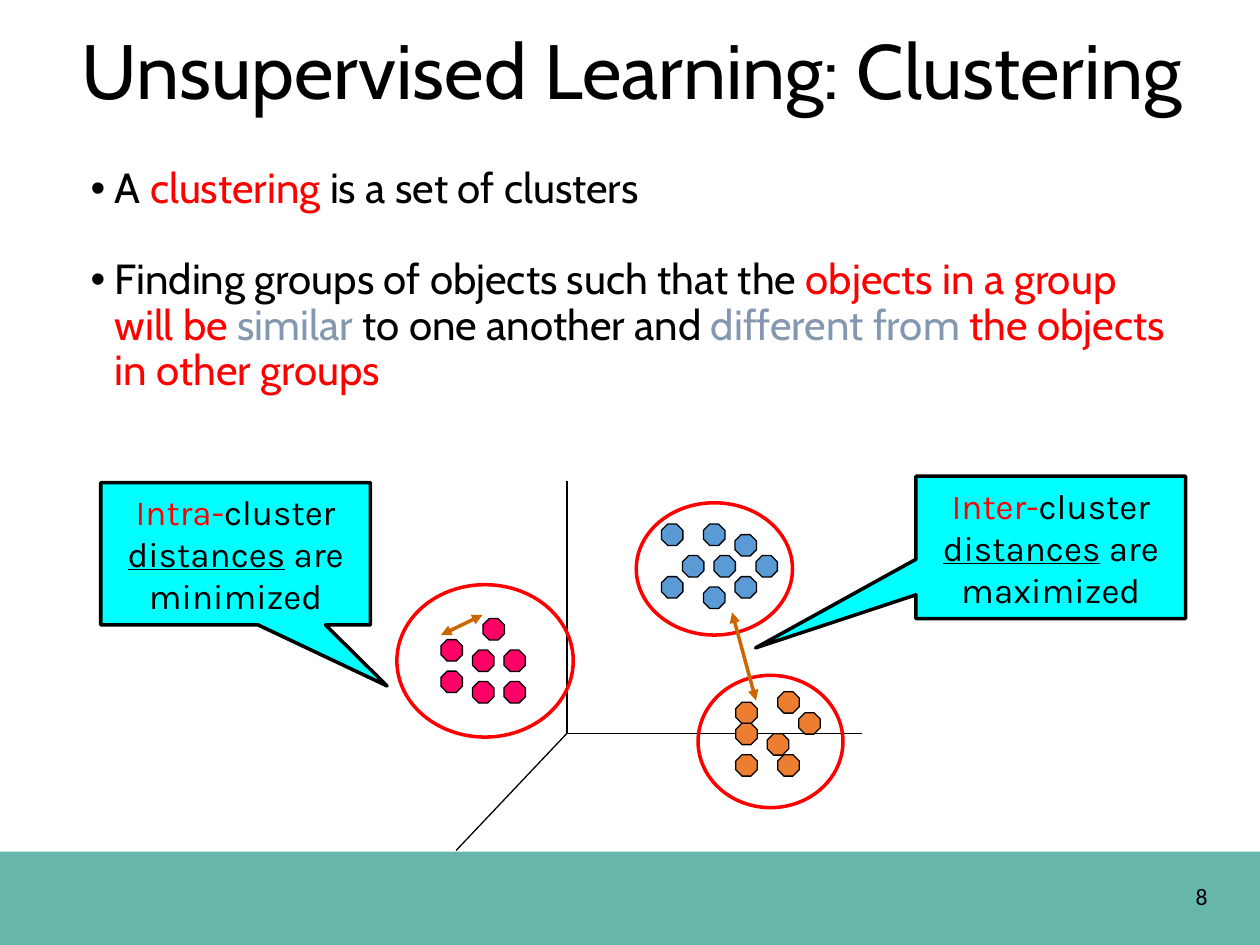
from lxml import etree
from pptx import Presentation
from pptx.dml.color import RGBColor
from pptx.enum.shapes import MSO_CONNECTOR, MSO_SHAPE
from pptx.enum.text import MSO_ANCHOR, PP_ALIGN
from pptx.oxml.ns import qn
from pptx.util import Inches, Pt

RECT, OVAL = MSO_SHAPE.RECTANGLE, MSO_SHAPE.OVAL
OCTAGON, CALLOUT = MSO_SHAPE.OCTAGON, MSO_SHAPE.RECTANGULAR_CALLOUT
STRAIGHT = MSO_CONNECTOR.STRAIGHT
TOP, MIDDLE = MSO_ANCHOR.TOP, MSO_ANCHOR.MIDDLE
CENTER = PP_ALIGN.CENTER

COLORS = {
    "black": "000000", "red": "FF0000", "slate": "8497B0", "teal": "319F8D",
    "cyan": "00FFFF", "arrow": "CC6600",
    "blue": "5B9BD5", "pink": "FF0066", "orange": "ED7D31",
}
DOT = 0.17
STEP = 1 / 12  # grid on which the dots of a cluster sit


def rgb(name):
    return RGBColor.from_string(COLORS[name])


def add_run(p, text, size=24, font="Cabin", color="black", underline=None):
    r = p.add_run()
    r.text = text
    r.font.size, r.font.name = Pt(size), font
    r.font.color.rgb = rgb(color)
    r.font.underline = underline
    return r


def add_text(s, box, anchor=TOP, inset=0.08):
    tf = s.shapes.add_textbox(*map(Inches, box)).text_frame
    tf.word_wrap = True
    tf.vertical_anchor = anchor
    tf.margin_left = tf.margin_right = Inches(inset)
    tf.margin_top = tf.margin_bottom = Inches(inset / 2)
    return tf


def add_shape(s, kind, box, fill=None, line=None, width=0.75):
    sp = s.shapes.add_shape(kind, *map(Inches, box))
    sp.shadow.inherit = False
    if fill:
        sp.fill.solid()
        sp.fill.fore_color.rgb = rgb(fill)
    else:
        sp.fill.background()
    if line:
        sp.line.color.rgb = rgb(line)
        sp.line.width = Pt(width)
    else:
        sp.line.fill.background()
    return sp


def add_line(s, start, end, color="black", width=0.75, arrows=False):
    cx = s.shapes.add_connector(STRAIGHT, *map(Inches, (*start, *end)))
    cx.line.color.rgb = rgb(color)
    cx.line.width = Pt(width)
    if arrows:
        ln = cx.line._get_or_add_ln()
        for tag in ("a:headEnd", "a:tailEnd"):
            etree.SubElement(ln, qn(tag), type="triangle")
    etree.SubElement(cx._element.spPr, qn("a:effectLst"))
    return cx


def footer(s, box, number):
    x, y, w, h = box
    band = add_shape(s, RECT, box, "teal")
    clr = band._element.spPr.find(qn("a:solidFill"))[0]
    etree.SubElement(clr, qn("a:alpha"), val="74000")
    tf = add_text(s, (x + w - 0.61, y + 0.19, 0.61, 0.4), inset=0.1)
    add_run(tf.paragraphs[0], number, size=13.5, font="Calibri")


def title(s, box, text):
    p = add_text(s, box, MIDDLE).paragraphs[0]
    p.line_spacing = 0.9
    add_run(p, text, size=44)


def bullets(s, box, items):
    tf = add_text(s, box)
    for i, runs in enumerate(items):
        p = tf.add_paragraph() if i else tf.paragraphs[0]
        p.line_spacing = 0.9
        p.space_before = Pt(26 if i else 7.5)
        pPr = p._p.get_or_add_pPr()
        pPr.set("marL", str(Inches(0.19)))
        pPr.set("indent", str(-Inches(0.19)))
        etree.SubElement(pPr, qn("a:buFont"), typeface="Arial")
        etree.SubElement(pPr, qn("a:buChar"), char="•")
        for text, color in runs:
            add_run(p, text, color=color)


def axes(s, box):
    x, y, w, h = box
    origin = (x + 0.88, y + 2)
    for end in ((origin[0], y), (x + w, origin[1]), (x, y + h)):
        add_line(s, origin, end)


def cluster(s, box, offset, color, dots):
    """Ring with octagon dots; dots are (column, row) steps from the offset."""
    x, y = box[0] + offset[0], box[1] + offset[1]
    for col, row in dots:
        add_shape(s, OCTAGON, (x + col * STEP, y + row * STEP, DOT, DOT),
                  color, "black")
    add_shape(s, OVAL, box, line="red", width=2)


def callout(s, box, tip, prefix, ending):
    sp = add_shape(s, CALLOUT, box, "cyan", "black", 2)
    sp.adjustments[0], sp.adjustments[1] = tip
    tf = sp.text_frame
    tf.word_wrap = True
    tf.vertical_anchor = MIDDLE
    p = tf.paragraphs[0]
    p.alignment = CENTER
    style = {"size": 20, "font": "Karla"}
    add_run(p, prefix, color="red", **style)
    add_run(p, "cluster ", **style)
    add_run(p, "distances", underline=True, **style)
    add_run(p, ending, **style)


def main():
    prs = Presentation()
    prs.slide_width, prs.slide_height = Inches(10), Inches(7.5)
    s = prs.slides.add_slide(prs.slide_layouts[6])

    footer(s, (0, 6.76, 10, 0.74), "8")
    title(s, (0.57, 0.29, 9.06, 0.6), "Unsupervised Learning: Clustering")
    bullets(s, (0.64, 1.29, 8.75, 2.2), [
        [("A ", "black"), ("clustering", "red"),
         (" is a set of clusters", "black")],
        [("Finding groups of objects such that the ", "black"),
         ("objects in a group will be ", "red"), ("similar ", "slate"),
         ("to one another and ", "black"), ("different from ", "slate"),
         ("the objects in other groups", "red")],
    ])

    # Scatter diagram
    axes(s, (3.62, 3.82, 3.22, 2.93))
    cluster(s, (5.05, 3.99, 1.24, 1.05), (0.2, 0.17), "blue",
            [(0, 0), (4, 0), (7, 1), (2, 3), (5, 3), (9, 3),
             (0, 5), (7, 5), (4, 6)])
    cluster(s, (3.15, 4.64, 1.4, 1.21), (0.35, 0.27), "pink",
            [(4, 0), (0, 2), (3, 3), (6, 3), (0, 5), (3, 6), (6, 6)])
    cluster(s, (5.54, 5.36, 1.15, 1.05), (0.3, 0.13), "orange",
            [(4, 0), (0, 1), (6, 2), (0, 3), (3, 4), (0, 6), (4, 6)])

    # Distances and their callouts
    for start, end in (((6, 5.56), (5.81, 4.86)), ((3.5, 5.04), (3.83, 4.88))):
        add_line(s, start, end, "arrow", 2, arrows=True)
    callout(s, (7.27, 3.78, 2.14, 1.13), (-1.095, 0.706),
            "Inter-", " are maximized")
    callout(s, (0.8, 3.83, 2.14, 1.13), (0.562, 0.929),
            "Intra-", " are minimized")

    prs.save("out.pptx")


if __name__ == "__main__":
    main()
